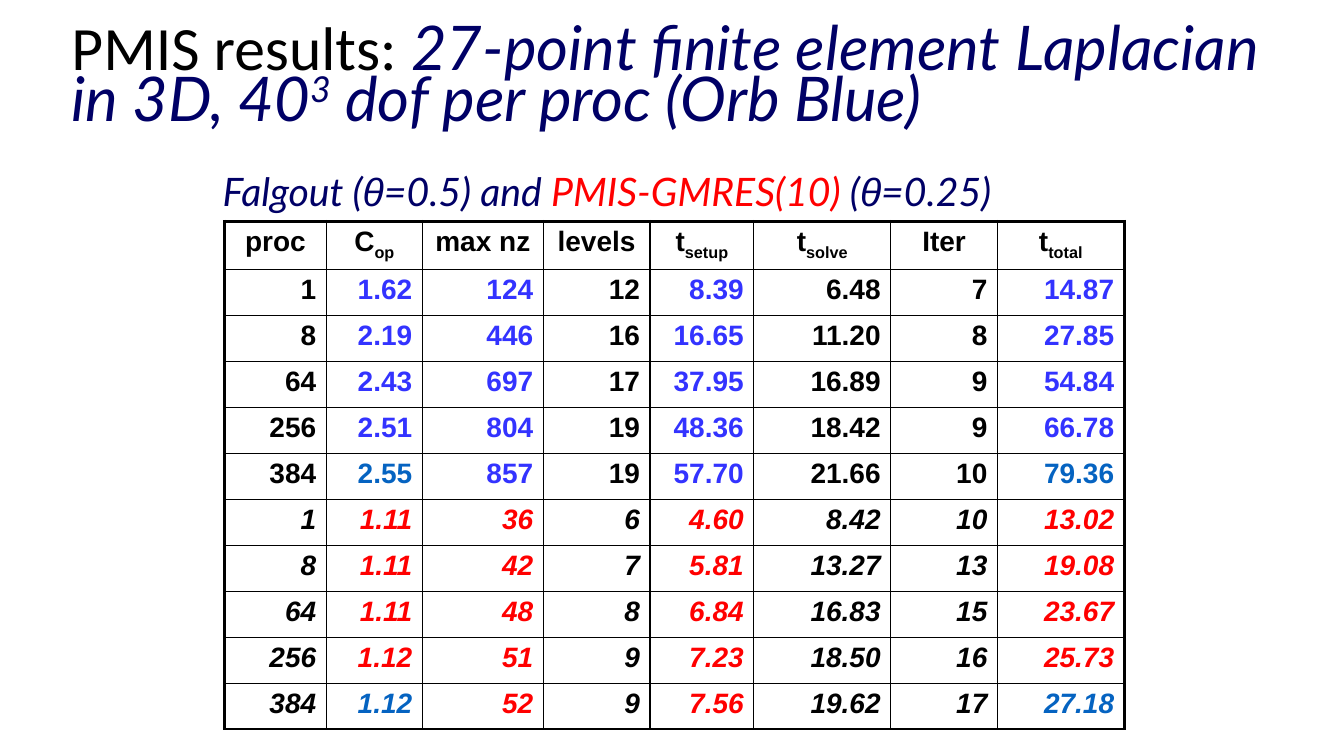
from lxml.etree import SubElement
from pptx import Presentation
from pptx.dml.color import RGBColor
from pptx.enum.text import MSO_ANCHOR as Anchor, PP_ALIGN as Align
from pptx.oxml.ns import qn
from pptx.util import Pt

BLACK = RGBColor(0x00, 0x00, 0x00)
NAVY = RGBColor(0x00, 0x00, 0x66)
BLUE = RGBColor(0x33, 0x33, 0xFF)
LINK_BLUE = RGBColor(0x05, 0x63, 0xC1)
RED = RGBColor(0xFF, 0x00, 0x00)

THIN, THICK = 1, 2.25
COLUMN_WIDTHS = [72.6, 68.6, 86.4, 76.2, 74.2, 97.8, 76.2, 90.6]
HEADER_HEIGHT, ROW_HEIGHT = 34.2, 32.85
HEADERS = [("proc", ""), ("C", "op"), ("max nz", ""), ("levels", ""),
           ("t", "setup"), ("t", "solve"), ("Iter", ""), ("t", "total")]
FALGOUT = [
    "1 1.62 124 12 8.39 6.48 7 14.87",
    "8 2.19 446 16 16.65 11.20 8 27.85",
    "64 2.43 697 17 37.95 16.89 9 54.84",
    "256 2.51 804 19 48.36 18.42 9 66.78",
    "384 2.55 857 19 57.70 21.66 10 79.36",
]
PMIS = [
    "1 1.11 36 6 4.60 8.42 10 13.02",
    "8 1.11 42 7 5.81 13.27 13 19.08",
    "64 1.11 48 8 6.84 16.83 15 23.67",
    "256 1.12 51 9 7.23 18.50 16 25.73",
    "384 1.12 52 9 7.56 19.62 17 27.18",
]
COMPARED_COLUMNS = {1, 2, 4, 7}
LINKED_COLUMNS = {1, 7}


def add_text(paragraph, text, size=20, font="Arial", color=BLACK,
             bold=False, italic=False, baseline=0):
    run = paragraph.add_run()
    run.text = text
    run.font.size = Pt(size)
    run.font.name = font
    run.font.color.rgb = color
    run.font.bold = bold
    run.font.italic = italic
    if baseline:
        run._r.get_or_add_rPr().set("baseline", str(baseline * 1000))


def add_text_box(slide, left, top, width, height, anchor):
    frame = slide.shapes.add_textbox(Pt(left), Pt(top), Pt(width), Pt(height)).text_frame
    frame.word_wrap = True
    frame.vertical_anchor = anchor
    return frame.paragraphs[0]


def add_title(slide):
    title = add_text_box(slide, 44, 23.8, 869, 71.3, Anchor.MIDDLE)
    title.line_spacing = Pt(36)
    add_text(title, "PMIS results: ", size=44, font="Calibri")
    for text, baseline in [("27-point finite element Laplacian in 3D, 40", 0),
                           ("3", 30), (" dof per proc (Orb Blue)", 0)]:
        add_text(title, text, size=44, font="Lato", color=NAVY, italic=True, baseline=baseline)


def add_subtitle(slide):
    subtitle = add_text_box(slide, 152, 116, 652, 44, Anchor.TOP)
    subtitle.space_before = Pt(6)
    for text, font, color in [("Falgout (", "Lato", NAVY), ("θ", "Arial", NAVY),
                              ("=0.5) and ", "Lato", NAVY), ("PMIS-GMRES(10)", "Lato", RED),
                              (" (", "Lato", NAVY), ("θ", "Arial", NAVY),
                              ("=0.25)", "Lato", NAVY)]:
        add_text(subtitle, text, size=28, font=font, color=color, italic=True)


def set_borders(cell, **widths):
    properties = cell._tc.get_or_add_tcPr()
    for side in "LRTB":
        line = SubElement(properties, qn(f"a:ln{side}"), w=str(Pt(widths[side])))
        fill = SubElement(line, qn("a:solidFill"))
        SubElement(fill, qn("a:srgbClr"), val=str(BLACK))


def value_color(column, accent, is_last):
    if column not in COMPARED_COLUMNS:
        return BLACK
    return LINK_BLUE if is_last and column in LINKED_COLUMNS else accent


def fill_header(table):
    for column, (label, subscript) in enumerate(HEADERS):
        heading = table.cell(0, column).text_frame.paragraphs[0]
        heading.alignment = Align.CENTER
        add_text(heading, label, bold=True)
        if subscript:
            add_text(heading, subscript, bold=True, baseline=-25)


def fill_results(table, first_row, results, accent, italic):
    for offset, result in enumerate(results):
        is_last = offset == len(results) - 1
        for column, value in enumerate(result.split()):
            entry = table.cell(first_row + offset, column).text_frame.paragraphs[0]
            entry.alignment = Align.RIGHT
            add_text(entry, value, color=value_color(column, accent, is_last),
                     bold=True, italic=italic)


def add_results_table(slide):
    heights = [HEADER_HEIGHT] + [ROW_HEIGHT] * len(FALGOUT + PMIS)
    last_row, last_column = len(heights) - 1, len(COLUMN_WIDTHS) - 1
    table = slide.shapes.add_table(len(heights), len(COLUMN_WIDTHS), Pt(160.5), Pt(158),
                                   Pt(sum(COLUMN_WIDTHS)), Pt(sum(heights))).table
    table.first_row = table.horz_banding = False
    for column, width in zip(table.columns, COLUMN_WIDTHS):
        column.width = Pt(width)
    for row_index, height in enumerate(heights):
        table.rows[row_index].height = Pt(height)
        for column_index in range(last_column + 1):
            cell = table.cell(row_index, column_index)
            set_borders(cell,
                        L=THICK if column_index == 0 else THIN,
                        R=THICK if column_index == last_column else THIN,
                        T=THICK if row_index == 0 else THIN,
                        B=THICK if row_index == last_row else THIN)
            cell.fill.background()
    fill_header(table)
    fill_results(table, 1, FALGOUT, BLUE, italic=False)
    fill_results(table, 1 + len(FALGOUT), PMIS, RED, italic=True)


def main():
    presentation = Presentation()
    presentation.slide_width, presentation.slide_height = Pt(960), Pt(540)
    slide = presentation.slides.add_slide(presentation.slide_layouts[6])
    add_title(slide)
    add_subtitle(slide)
    add_results_table(slide)
    presentation.save("out.pptx")


if __name__ == "__main__":
    main()
